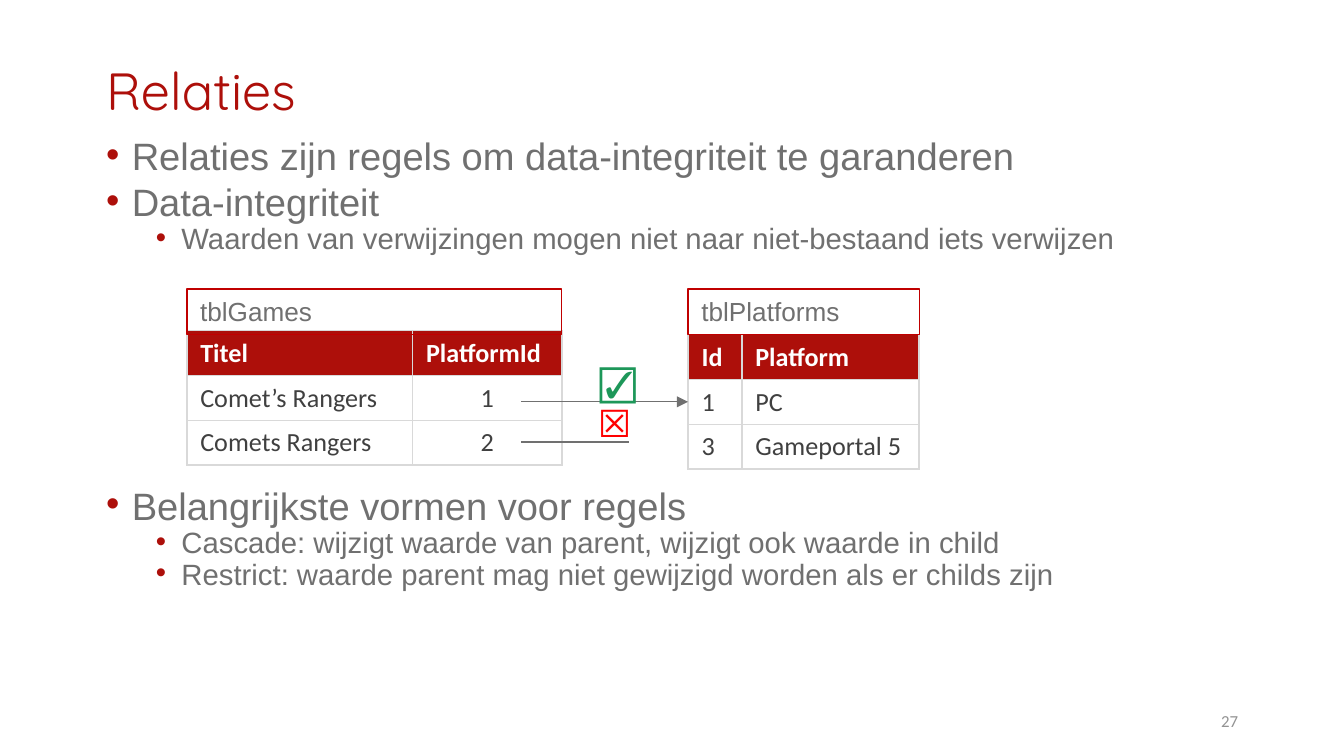
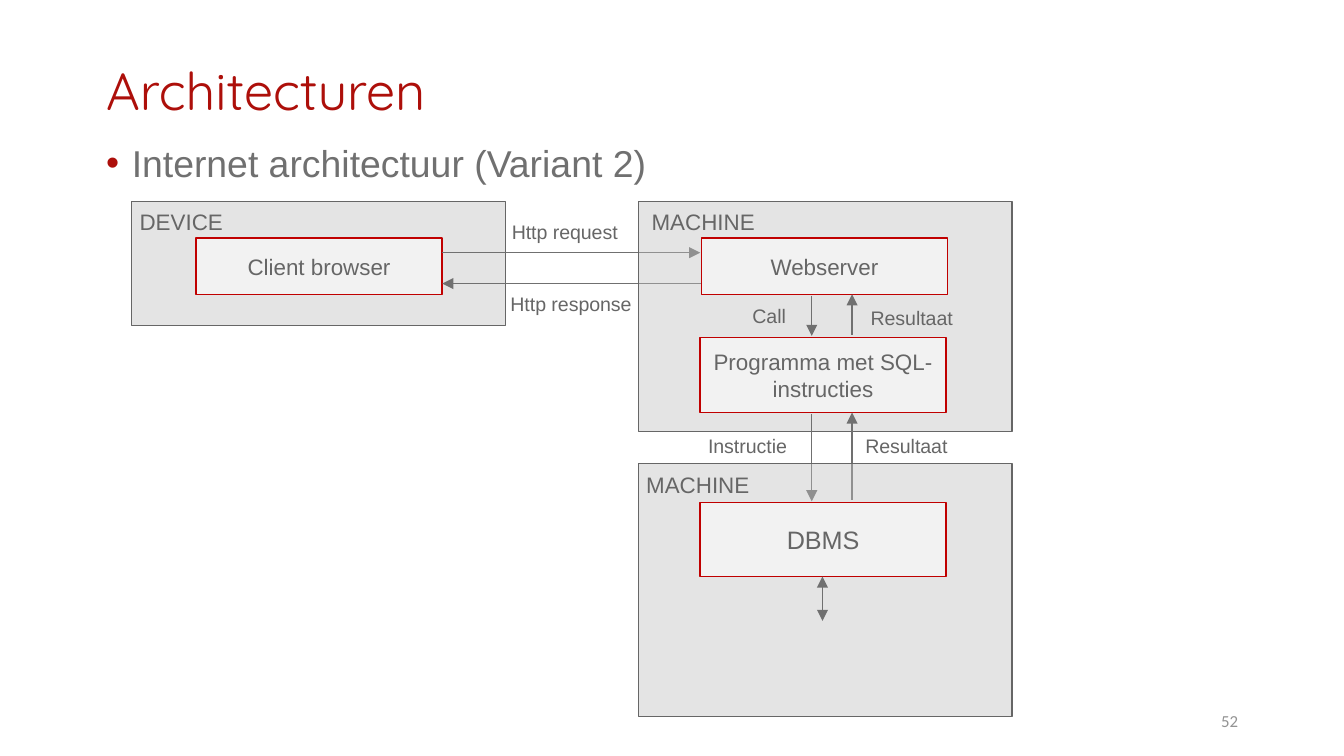
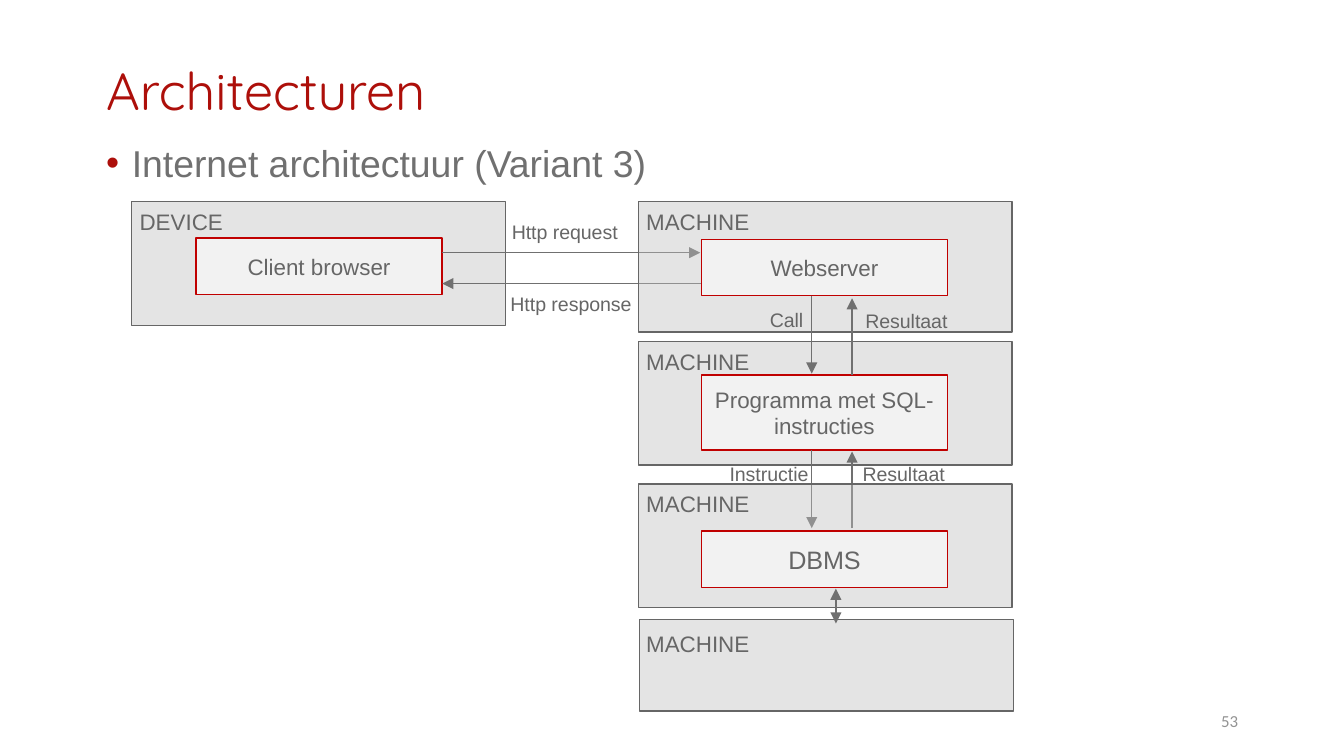
from lxml import etree
from pptx import Presentation
from pptx.dml.color import RGBColor
from pptx.enum.shapes import MSO_CONNECTOR, MSO_SHAPE
from pptx.enum.text import MSO_ANCHOR, MSO_AUTO_SIZE, PP_ALIGN
from pptx.oxml.ns import qn
from pptx.util import Inches, Pt

RECTANGLE, STRAIGHT = MSO_SHAPE.RECTANGLE, MSO_CONNECTOR.STRAIGHT
LEFT, CENTER, RIGHT = PP_ALIGN.LEFT, PP_ALIGN.CENTER, PP_ALIGN.RIGHT
TOP, MIDDLE = MSO_ANCHOR.TOP, MSO_ANCHOR.MIDDLE
PX = 9144  # 100 px to the inch

COLORS = {
    "accent": "AD0F0A", "outline": "C00000", "body": "707070", "label": "666666",
    "number": "939393", "zone": "BFBFBF", "node": "F2F2F2", "white": "FFFFFF",
    "cell": "404040", "grid": "D9D9D9", "valid": "1D9759", "invalid": "FF0000",
}

# style: fill, outline, font, size, text colour, alignment, anchor
STYLES = {
    "zone": ("zone", "label", "Arial", 12, "label", LEFT, TOP),
    "node": ("node", "outline", "Arial", 12, "label", CENTER, MIDDLE),
    "database": ("node", "outline", "Arial", 13.5, "label", CENTER, MIDDLE),
    "table name": (None, "outline", "Arial", 14, "body", LEFT, TOP),
    "caption": (None, None, "Arial", 12, "label", LEFT, TOP),
    "note": (None, None, "Arial", 10.5, "label", LEFT, TOP),
    "valid": (None, None, "Arial", 20, "valid", LEFT, TOP),
    "invalid": (None, None, "Arial", 20, "invalid", LEFT, TOP),
    "number": (None, None, "Calibri", 9, "number", RIGHT, MIDDLE),
}


def add_box(slide, style, left, top, width, height, text=""):
    fill, outline, font, size, color, alignment, anchor = STYLES[style]
    place = [value * PX for value in (left, top, width, height)]
    if outline:
        shape = slide.shapes.add_shape(RECTANGLE, *place)
        shape.shadow.inherit = False
        shape.line.color.rgb = RGBColor.from_string(COLORS[outline])
        shape.line.width = Pt(0.75)
        if fill:
            shape.fill.solid()
            shape.fill.fore_color.rgb = RGBColor.from_string(COLORS[fill])
        else:
            shape.fill.background()
        if style == "zone":
            rgb = shape.fill._xPr.find(".//" + qn("a:srgbClr"))
            etree.SubElement(rgb, qn("a:alpha"), val="41000")
    else:
        shape = slide.shapes.add_textbox(*place)
    frame = shape.text_frame
    frame.word_wrap = True
    frame.vertical_anchor = anchor
    frame.text = text
    paragraph = frame.paragraphs[0]
    paragraph.alignment = alignment
    for run in paragraph.runs:
        run.font.name, run.font.size = font, Pt(size)
        run.font.color.rgb = RGBColor.from_string(COLORS[color])


def add_line(slide, x1, y1, x2, y2, *ends):
    connector = slide.shapes.add_connector(STRAIGHT, x1 * PX, y1 * PX, x2 * PX, y2 * PX)
    connector.line.color.rgb = RGBColor.from_string(COLORS["body"])
    connector.line.width = Pt(0.75)
    for end in ends:
        etree.SubElement(connector.line._get_or_add_ln(), qn(f"a:{end}End"), type="triangle")
    etree.SubElement(connector._element.spPr, qn("a:effectLst"))


presentation = Presentation()
presentation.slide_width, presentation.slide_height = Inches(10), Inches(5.625)

# Titles, lists and slide numbers
# list item: level, size, space before, text
PAGES = [
    ("Relaties", "27", 0.7, [
        (0, 20.4, 0, "Relaties zijn regels om data-integriteit te garanderen"),
        (0, 20.4, 7.5, "Data-integriteit"),
        (1, 15.7, 3.8, "Waarden van verwijzingen mogen niet naar niet-bestaand iets verwijzen"),
        (0, 20.4, 128.5, "Belangrijkste vormen voor regels"),
        (1, 15.7, 3.8, "Cascade: wijzigt waarde van parent, wijzigt ook waarde in child"),
        (1, 15.7, 3.8, "Restrict: waarde parent mag niet gewijzigd worden als er childs zijn"),
    ]),
    ("Architecturen", "52", 0.9, [(0, 20, 0, "Internet architectuur (Variant 2)")]),
    ("Architecturen", "53", 0.9, [(0, 20, 0, "Internet architectuur (Variant 3)")]),
]
slides = []
for title_text, number, line_spacing, items in PAGES:
    slide = presentation.slides.add_slide(presentation.slide_layouts[1])
    slides.append(slide)
    title, body = slide.shapes.title, slide.placeholders[1]
    for placeholder, top, height in ((title, 45, 49), (body, 103, 357)):
        placeholder.left, placeholder.top = 69 * PX, top * PX
        placeholder.width, placeholder.height = 862 * PX, height * PX
        placeholder.text_frame.auto_size = MSO_AUTO_SIZE.NONE
    title.text_frame.text = title_text
    title.text_frame.vertical_anchor = MIDDLE
    paragraph = title.text_frame.paragraphs[0]
    paragraph.alignment, paragraph.line_spacing = LEFT, 0.9
    font = paragraph.runs[0].font
    font.name, font.size = "Quicksand", Pt(28)
    font.color.rgb = RGBColor.from_string(COLORS["accent"])

    body.text_frame.text = "\n".join(item[-1] for item in items)
    body.text_frame.vertical_anchor = TOP
    for paragraph, (level, size, space, _) in zip(body.text_frame.paragraphs, items):
        properties = paragraph._p.get_or_add_pPr()
        properties.set("marL", str((19, 56)[level] * PX))
        properties.set("indent", str(-19 * PX))
        bullet_color = etree.SubElement(properties, qn("a:buClr"))
        etree.SubElement(bullet_color, qn("a:srgbClr"), val=COLORS["accent"])
        etree.SubElement(properties, qn("a:buFont"), typeface="Arial")
        etree.SubElement(properties, qn("a:buChar"), char="•")
        paragraph.level, paragraph.alignment = level, LEFT
        paragraph.line_spacing = line_spacing
        paragraph.space_before, paragraph.space_after = Pt(space), Pt(0)
        font = paragraph.runs[0].font
        font.name, font.size = "Arial", Pt(size)
        font.color.rgb = RGBColor.from_string(COLORS["body"])
    add_box(slide, "number", 842, 521, 89, 30, number)

# Relations: two tables with their names
relations = slides[0]
# table: name, left, top, column widths, centred column, rows
TABLES = [
    ("tblGames", 139, 246, (168, 111), 1,
     [("Titel", "PlatformId"), ("Comet’s Rangers", "1"), ("Comets Rangers", "2")]),
    ("tblPlatforms", 512, 249, (40, 132), None,
     [("Id", "Platform"), ("1", "PC"), ("3", "Gameportal 5")]),
]
for name, left, top, widths, centred, rows in TABLES:
    table = relations.shapes.add_table(
        len(rows), len(widths), left * PX, top * PX, sum(widths) * PX, 95 * PX).table
    for column, width in zip(table.columns, widths):
        column.width = width * PX
    for row_index, row in enumerate(rows):
        header = row_index == 0
        table.rows[row_index].height = (29 if header else 33) * PX
        for column_index, text in enumerate(row):
            cell = table.cell(row_index, column_index)
            cell.text_frame.text = text
            cell.vertical_anchor = MIDDLE
            for side in "LRTB":
                border = etree.SubElement(
                    cell._tc.get_or_add_tcPr(), qn(f"a:ln{side}"), w=str(Pt(1)))
                border_fill = etree.SubElement(border, qn("a:solidFill"))
                etree.SubElement(border_fill, qn("a:srgbClr"), val=COLORS["grid"])
            cell.fill.solid()
            cell.fill.fore_color.rgb = RGBColor.from_string(
                COLORS["accent" if header else "white"])
            paragraph = cell.text_frame.paragraphs[0]
            paragraph.alignment = CENTER if column_index == centred and not header else LEFT
            font = paragraph.runs[0].font
            font.name, font.size, font.bold = "Calibri", Pt(14), header
            font.color.rgb = RGBColor.from_string(COLORS["white" if header else "cell"])
    add_box(relations, "table name", left, 215, sum(widths), 34, name)

# Relations: a valid and an invalid reference
add_line(relations, 388, 299, 512, 299, "tail")
add_box(relations, "valid", 436, 262, 52, 44, "☑")
add_box(relations, "invalid", 435, 293, 43, 44, "☒")
add_line(relations, 388, 329, 468, 329)

# Architectures: the client side is the same in both variants
CLIENT = [
    ("zone", 98, 150, 278, 92),
    ("node", 146, 177, 183, 42, "Client browser"),
    ("caption", 94, 150, 151, 25, "DEVICE"),
    ("line", 329, 188, 521, 188, "tail"),
    ("line", 522, 211, 329, 211, "tail"),
    ("note", 371, 159, 100, 28, "Http request"),
    ("note", 370, 212, 113, 28, "Http response"),
]
SHARED_SERVER = [
    ("zone", 475, 150, 278, 171),
    ("caption", 475, 150, 151, 33, "MACHINE"),
    ("node", 521, 251, 183, 56, "Programma met SQL-instructies"),
    ("node", 522, 177, 183, 42, "Webserver"),
    ("note", 517, 318, 87, 28, "Instructie"),
    ("note", 634, 318, 87, 28, "Resultaat"),
    ("note", 550, 221, 52, 28, "Call"),
    ("note", 638, 223, 83, 28, "Resultaat"),
    ("line", 604, 220, 604, 250, "tail"),
    ("line", 634, 249, 634, 219, "tail"),
    ("line", 604, 308, 604, 373, "tail"),
    ("line", 634, 372, 634, 307, "tail"),
    ("zone", 475, 345, 278, 188),
    ("caption", 471, 346, 113, 29, "MACHINE"),
    ("database", 521, 374, 183, 55, "DBMS"),
    ("line", 612, 429, 612, 462, "head", "tail"),
]
SEPARATE_SERVERS = [
    ("zone", 476, 461, 278, 68),
    ("zone", 475, 254, 278, 92),
    ("zone", 475, 150, 278, 97),
    ("caption", 471, 254, 110, 25, "MACHINE"),
    ("caption", 471, 150, 100, 33, "MACHINE"),
    ("node", 522, 279, 183, 56, "Programma met SQL-instructies"),
    ("node", 522, 178, 183, 42, "Webserver"),
    ("note", 533, 339, 87, 28, "Instructie"),
    ("note", 632, 339, 87, 28, "Resultaat"),
    ("note", 563, 224, 46, 28, "Call"),
    ("note", 634, 225, 87, 28, "Resultaat"),
    ("line", 604, 220, 604, 278, "tail"),
    ("line", 634, 279, 634, 222, "tail"),
    ("line", 604, 335, 604, 393, "tail"),
    ("line", 634, 393, 634, 336, "tail"),
    ("zone", 475, 360, 278, 92),
    ("caption", 471, 360, 151, 25, "MACHINE"),
    ("database", 522, 395, 183, 42, "DBMS"),
    ("caption", 471, 464, 114, 28, "MACHINE"),
    ("line", 622, 438, 622, 464, "head", "tail"),
]
for slide, servers in zip(slides[1:], (SHARED_SERVER, SEPARATE_SERVERS)):
    for kind, *details in CLIENT + servers:
        if kind == "line":
            add_line(slide, *details)
        else:
            add_box(slide, kind, *details)

presentation.save("out.pptx")
